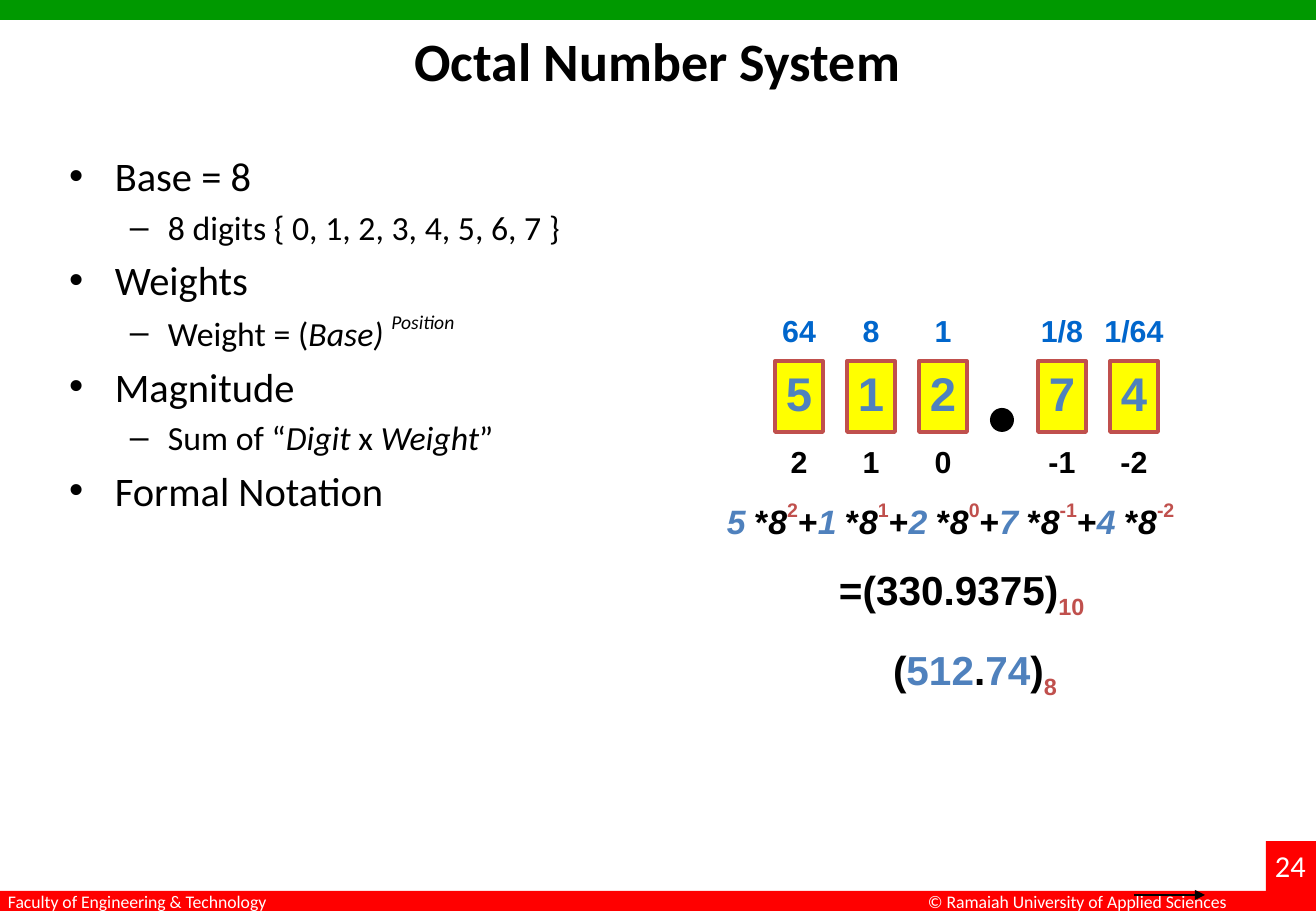
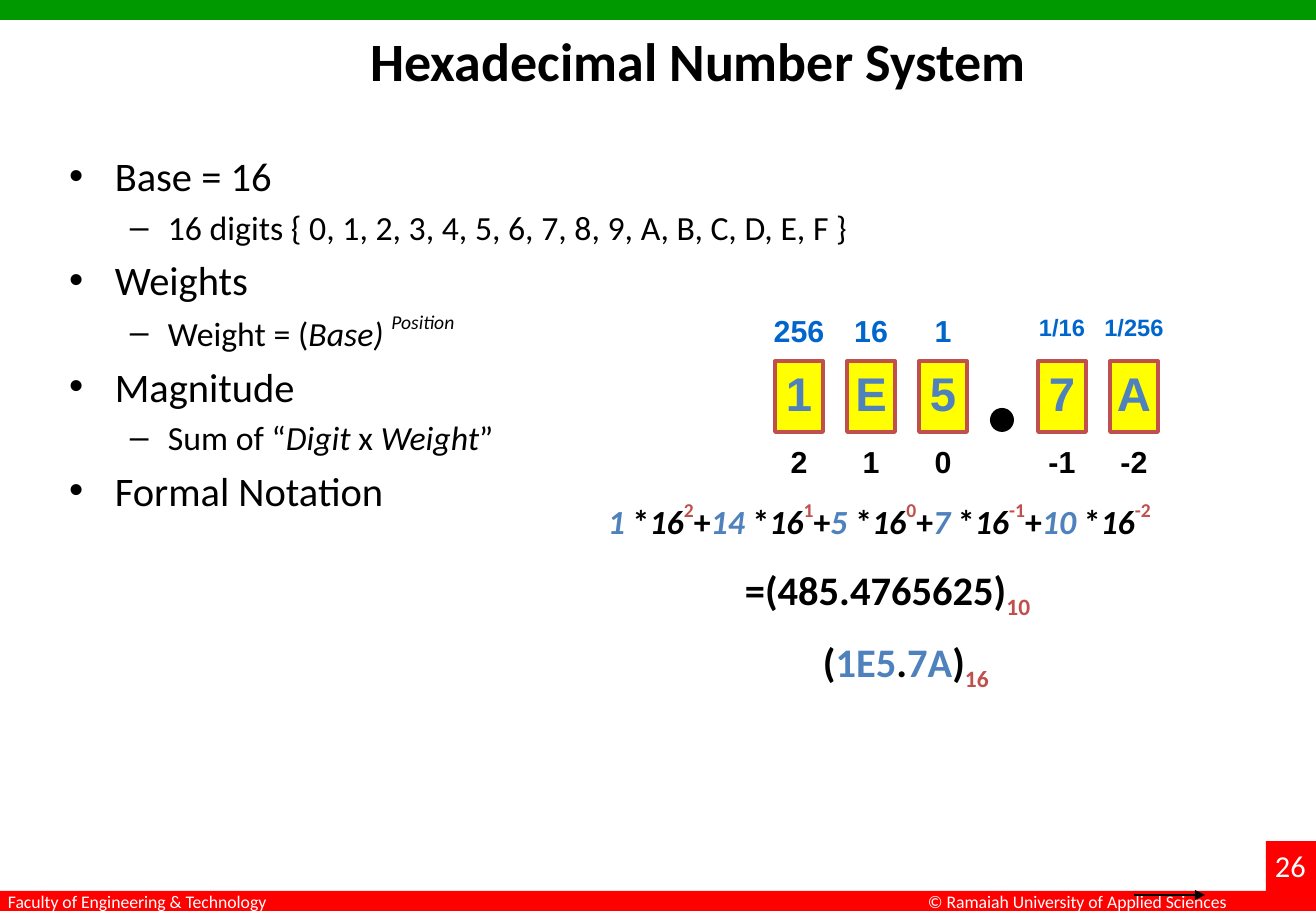
from lxml import etree
from pptx import Presentation
from pptx import util as u
from pptx.dml.color import RGBColor
from pptx.enum import shapes, text
from pptx.oxml import ns

PX = 7526  # EMU in one px
WIDTH, HEIGHT = 1316, 911
BLACK, WHITE, GREEN, RED = "000000", "FFFFFF", "009900", "FF0000"
YELLOW, BRICK, BLUE, WEIGHT_BLUE = "FFFF00", "C0504D", "4F81BD", "0066CC"
SANS, BODY = "Arial", "Calibri"
POSITIONS = ["2", "1", "0", "-1", "-2"]
SUPER, SUB = 50000, -25000


def px(*lengths):
    return [u.Emu(length * PX) for length in lengths]


def rgb(value):
    return RGBColor.from_string(value)


def write(para, words, size, color=BLACK, font=BODY, bold=False, italic=False, baseline=0):
    """Append one formatted run to a paragraph."""
    span = para.add_run()
    span.text = words
    span.font.name, span.font.size = font, u.Pt(size)
    span.font.bold, span.font.italic = bold, italic
    span.font.color.rgb = rgb(color)
    if baseline:
        span.font._element.set("baseline", str(baseline))


def clear_insets(frame):
    frame.margin_left = frame.margin_right = frame.margin_top = frame.margin_bottom = 0


def add_text(page, left, top, width, height, align=text.PP_ALIGN.LEFT, spacing=0.9):
    """Add an empty text box without insets and return its text frame."""
    frame = page.shapes.add_textbox(*px(left, top, width, height)).text_frame
    frame.word_wrap = True
    clear_insets(frame)
    frame.paragraphs[0].alignment = align
    frame.paragraphs[0].line_spacing = spacing
    return frame


def add_label(page, words, size, left, top, width, height, **style):
    frame = add_text(page, left, top, width, height, spacing=1)
    write(frame.paragraphs[0], words, size, **style)
    return frame


def add_block(page, kind, left, top, width, height, fill, outline=None):
    block = page.shapes.add_shape(kind, *px(left, top, width, height))
    block.shadow.inherit = False
    block.fill.solid()
    block.fill.fore_color.rgb = rgb(fill)
    if outline:
        block.line.color.rgb = rgb(outline)
        block.line.width = u.Pt(2.25)
    else:
        block.line.fill.background()
    return block


def add_arrow(page, left, right, y):
    arrow = page.shapes.add_connector(shapes.MSO_CONNECTOR.STRAIGHT, *px(left, y, right, y))
    arrow.line.color.rgb = rgb(BLACK)
    arrow.line.width = u.Pt(0.75)
    etree.SubElement(arrow.line._get_or_add_ln(), ns.qn("a:tailEnd"), type="triangle")
    etree.SubElement(arrow.element.spPr, ns.qn("a:effectLst"))


def add_master_bands(deck, page):
    """Draw the bands and footers on a page, then move them to the master."""
    before = len(page.shapes)
    rect = shapes.MSO_SHAPE.RECTANGLE
    add_block(page, rect, 0, 0, WIDTH, 20, GREEN)
    add_block(page, rect, 0, 891, WIDTH, 20, RED)
    add_block(page, rect, 1266, 841, 50, 70, RED)
    add_label(page, "Faculty of Engineering & Technology", 10.5, 8, 891, 300, 20, color=WHITE)
    add_label(page, "© Ramaiah University of Applied Sciences", 10.5, 928, 891, 330, 20, color=WHITE)
    for shape in list(page.shapes)[before:]:
        deck.slide_master.shapes.element.append(shape.element)


def place(holder, left, top, width, height):
    holder.left, holder.top, holder.width, holder.height = px(left, top, width, height)
    frame = holder.text_frame
    frame.auto_size = text.MSO_AUTO_SIZE.NONE
    frame.vertical_anchor = text.MSO_ANCHOR.TOP
    return frame


def fill_title(page, title, left):
    frame = place(page.shapes.title, left, 21, 1185, 152)
    write(frame.paragraphs[0], title, 32, bold=True)


def fill_list(page, base, digits):
    """Each item is a level and its spans; odd spans are italic."""
    items = [
        (0, [f"Base = {base}"]),
        (1, [f"{base} digits {{ {', '.join(digits)} }}"]),
        (0, ["Weights"]),
        (1, ["Weight = (", "Base) "]),
        (0, ["Magnitude"]),
        (1, ["Sum of “", "Digit", " x ", "Weight", "”"]),
        (0, ["Formal Notation"]),
    ]
    frame = place(page.placeholders[1], 57, 145, 1101, 537)
    for index, (level, spans) in enumerate(items):
        para = frame.add_paragraph() if index else frame.paragraphs[0]
        para.level = level
        size = 20 if level else 24
        para.space_before = u.Pt(size * 0.2 if index else 0)
        for order, words in enumerate(spans):
            write(para, words, size, italic=order % 2 == 1)
        if spans[0].startswith("Weight ="):
            write(para, "Position", size, italic=True, baseline=SUPER)


def add_digit_row(page, digits, weights, fraction_size):
    """Draw the digits with weights above, positions below and the point between."""
    center = text.PP_ALIGN.CENTER
    for column, (digit, weight, position) in enumerate(zip(digits, weights, POSITIONS)):
        left = 775 + 72 * column + (47 if column > 2 else 0)
        cell = add_block(page, shapes.MSO_SHAPE.RECTANGLE, left, 361, 48, 71, YELLOW, BRICK)
        frame = cell.text_frame
        clear_insets(frame)
        frame.vertical_anchor = text.MSO_ANCHOR.MIDDLE
        para = frame.paragraphs[0]
        para.alignment, para.line_spacing = center, 0.9
        write(para, digit, 28, BLUE, SANS, bold=True)
        size = fraction_size if column > 2 else 18
        for words, points, top, color in [(weight, size, 316, WEIGHT_BLUE), (position, 18, 447, BLACK)]:
            label = add_text(page, left - 12, top, 72, 33, center)
            write(label.paragraphs[0], words, points, color, SANS, bold=True)
    add_block(page, shapes.MSO_SHAPE.OVAL, 990, 408, 24, 24, BLACK)


def add_expansion(page, base, values, total, font, left, indent):
    """Write the sum of digit times weight and its decimal value."""
    frame = add_text(page, left, 503, 1206 - left, 106)
    style = {"font": font, "bold": True}
    para = frame.paragraphs[0]
    for index, (value, position) in enumerate(zip(values, POSITIONS)):
        if index:
            write(para, "+", 20, **style)
        write(para, f"{value} ", 20, BLUE, italic=True, **style)
        write(para, "*", 20, **style)
        write(para, str(base), 20, italic=True, **style)
        write(para, position, 20, BRICK, baseline=SUPER, **style)
    para = frame.add_paragraph()
    para.line_spacing, para.space_before = 0.9, u.Pt(14)
    para._p.get_or_add_pPr().set("marL", str(indent * PX))
    write(para, f"=({total})", 24, **style)
    write(para, "10", 24, BRICK, baseline=SUB, **style)


def add_notation(page, base, digits, font, left, top):
    para = add_text(page, left, top, 262, 44).paragraphs[0]
    spans = [("(", BLACK), (digits[:3], BLUE), (".", BLACK), (digits[3:], BLUE), (")", BLACK)]
    for words, color in spans:
        write(para, words, 24, color, font, bold=True)
    write(para, str(base), 24, BRICK, font, bold=True, baseline=SUB)


def main():
    deck = Presentation()
    deck.slide_width, deck.slide_height = px(WIDTH, HEIGHT)
    layout = deck.slide_layouts[1]
    octal, hexadecimal = [deck.slides.add_slide(layout) for _ in range(2)]
    add_master_bands(deck, octal)

    fill_title(octal, "Octal Number System", 65)
    fill_list(octal, 8, "01234567")
    add_digit_row(octal, "51274", ["64", "8", "1", "1/8", "1/64"], 18)
    add_expansion(octal, 8, [5, 1, 2, 7, 4], "330.9375", SANS, 727, 112)
    add_notation(octal, 8, "51274", SANS, 893, 646)

    fill_title(hexadecimal, "Hexadecimal Number System", 106)
    fill_list(hexadecimal, 16, "0123456789ABCDEF")
    add_digit_row(hexadecimal, "1E57A", ["256", "16", "1", "1/16", "1/256"], 14)
    add_expansion(hexadecimal, 16, [1, 14, 5, 7, 10], "485.4765625", BODY, 608, 137)
    add_notation(hexadecimal, 16, "1E57A", BODY, 823, 638)

    for page, number in [(octal, "24"), (hexadecimal, "26")]:
        add_label(page, number, 18, 1275, 847, 40, 37, color=WHITE)
        add_arrow(page, 1134, 1205, 895)
    deck.save("out.pptx")


if __name__ == "__main__":
    main()
